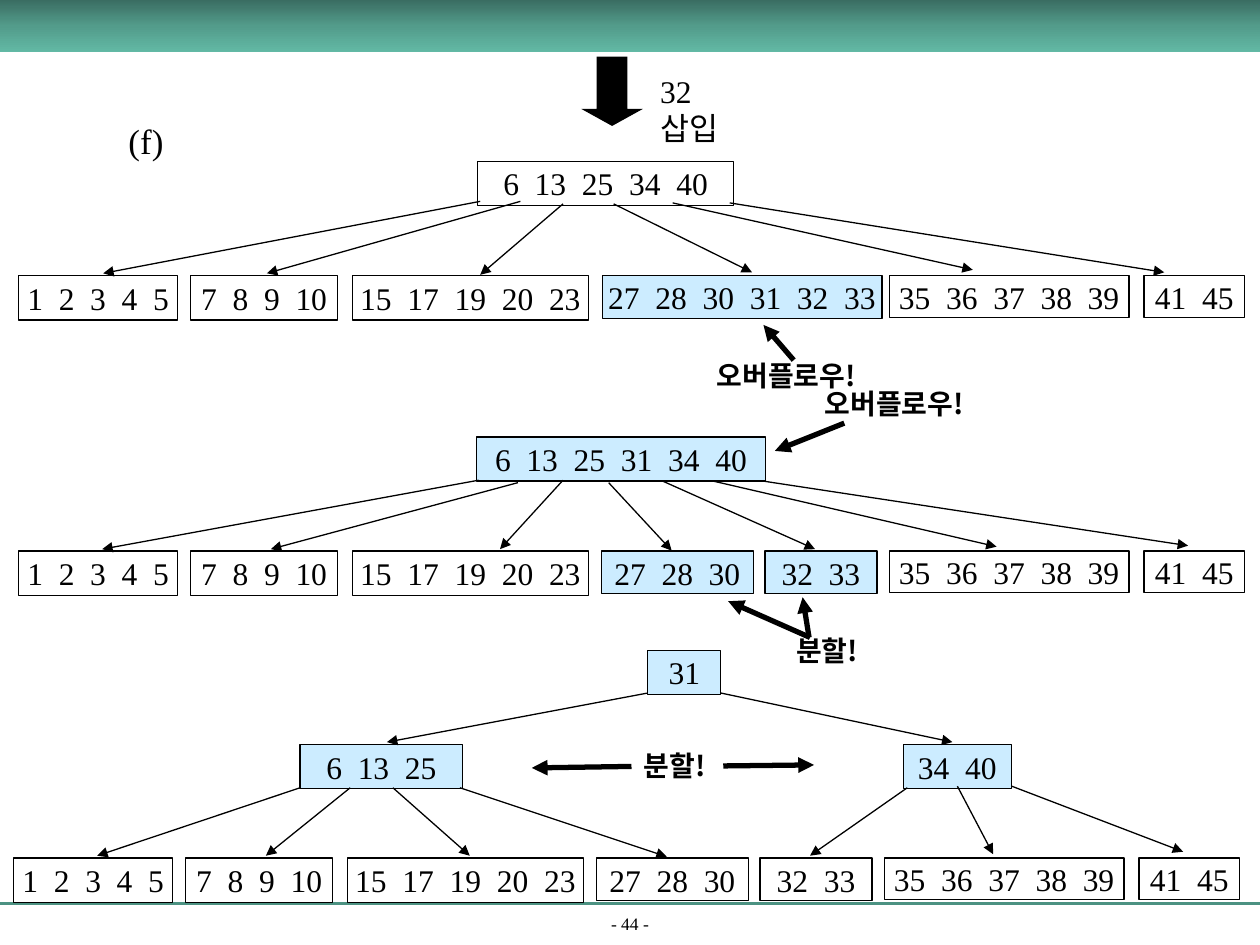
from copy import deepcopy

from pptx import Presentation
from pptx.dml.color import RGBColor
from pptx.enum.shapes import MSO_CONNECTOR, MSO_SHAPE
from pptx.enum.text import MSO_ANCHOR, PP_ALIGN
from pptx.oxml.ns import qn
from pptx.util import Cm, Pt
from lxml.etree import SubElement

COLORS = {
    "black": "000000",
    "changed": "CCECFF",
    "rule": "4C9282",
    "bar_top": "3A6D62",
    "bar_mid": "539C8B",
    "bar_bottom": "62B9A5",
}
SERIF = "Times New Roman"
SANS = "Noto Sans CJK KR"

prs = Presentation()
prs.slide_width, prs.slide_height = Cm(25.4), Cm(19.05)
s = prs.slides.add_slide(prs.slide_layouts[6])


def add_text(text, x, y, w, h, size=18, font=SERIF, bold=False, align=PP_ALIGN.LEFT,
             anchor=MSO_ANCHOR.TOP, wrap=False, boxed=False, fill=None):
    if boxed:
        sp = s.shapes.add_shape(MSO_SHAPE.RECTANGLE, Cm(x), Cm(y), Cm(w), Cm(h))
        sp.shadow.inherit = False
        sp.line.color.rgb = RGBColor.from_string(COLORS["black"])
        sp.line.width = Pt(0.75)
        if fill:
            sp.fill.solid()
            sp.fill.fore_color.rgb = RGBColor.from_string(COLORS[fill])
        else:
            sp.fill.background()
    else:
        sp = s.shapes.add_textbox(Cm(x), Cm(y), Cm(w), Cm(h))
    tf = sp.text_frame
    tf.word_wrap = wrap
    tf.vertical_anchor = anchor
    p = tf.paragraphs[0]
    p.alignment = align
    r = p.add_run()
    r.text = text
    r.font.name = font
    r.font.size = Pt(size)
    r.font.bold = bold
    r.font.color.rgb = RGBColor.from_string(COLORS["black"])
    SubElement(r.font._element, qn("a:ea"), typeface=SANS)


def add_line(x1, y1, x2, y2, width=0.75, color="black", arrow=True):
    c = s.shapes.add_connector(MSO_CONNECTOR.STRAIGHT, Cm(x1), Cm(y1), Cm(x2), Cm(y2))
    c.line.color.rgb = RGBColor.from_string(COLORS[color])
    c.line.width = Pt(width)
    if arrow:
        SubElement(c.line._get_or_add_ln(), qn("a:tailEnd"), type="triangle")
    SubElement(c._element.spPr, qn("a:effectLst"))


add_line(0, 18.21, 25.4, 18.21, width=1.5, color="rule", arrow=False)
add_text("- 44 -", 0, 18.39, 25.4, 0.56, size=10, align=PP_ALIGN.CENTER,
         anchor=MSO_ANCHOR.BOTTOM, wrap=True)

bar = s.shapes.add_shape(MSO_SHAPE.RECTANGLE, 0, 0, Cm(25.4), Cm(1.06))
bar.shadow.inherit = False
bar.line.fill.background()
bar.fill.gradient()
bar.fill.gradient_angle = 270
first = bar.fill.gradient_stops._gsLst[0]
first.addnext(deepcopy(first))
for stop, name, pos in zip(bar.fill.gradient_stops, ("bar_top", "bar_mid", "bar_bottom"), (0, 0.5, 1)):
    stop.color.rgb = RGBColor.from_string(COLORS[name])
    stop.position = pos

down = s.shapes.add_shape(MSO_SHAPE.DOWN_ARROW, Cm(11.72), Cm(1.14), Cm(1.24), Cm(1.4))
down.shadow.inherit = False
down.adjustments[0], down.adjustments[1] = 0.5, 0.276
down.fill.solid()
down.fill.fore_color.rgb = RGBColor.from_string(COLORS["black"])
down.line.fill.background()
add_text("32 삽입", 13.06, 1.32, 2, 1.02, wrap=True)
add_text("(f)", 2.34, 2.29, 1.32, 1.09, size=20, wrap=True)

left_leaves = [("1  2  3  4  5", 0.38, 3.2, 0.89), ("7  8  9  10", 3.84, 2.97, 0.89),
               ("15  17  19  20  23", 7.11, 4.75, 0.89)]
right_leaves = [("35  36  37  38  39", 17.93, 4.83, 0.84), ("41  45", 23.06, 2.03, 0.84)]
full_leaf = [("27  28  30  31  32  33", 12.14, 5.64, 0.86)]
split_leaves = [("27  28  30", 12.12, 3.07, 0.86), ("32  33", 15.42, 2.26, 0.86)]

boxes = []
for y, dx, middle, fill in [(5.56, 0, full_leaf, "changed"),
                            (11.11, 0, split_leaves, "changed"),
                            (17.3, -0.1, split_leaves, None)]:
    for leaf in left_leaves + middle + right_leaves:
        text, x, w, h = leaf
        boxes.append((text, x + dx, y, w, h, fill if leaf in middle else None))
boxes += [
    ("6  13  25  34  40", 9.63, 3.25, 5.16, 0.89, None),
    ("6  13  25  31  34  40", 9.6, 8.81, 5.84, 0.89, "changed"),
    ("31", 13.06, 13.11, 1.47, 0.89, "changed"),
    ("6  13  25", 6.05, 15.01, 3.28, 0.89, "changed"),
    ("34  40", 18.21, 15.01, 2.18, 0.89, "changed"),
]
for text, x, y, w, h, fill in boxes:
    add_text(text, x, y, w, h, boxed=True, fill=fill, align=PP_ALIGN.CENTER,
             anchor=MSO_ANCHOR.MIDDLE)

branches = [
    (9.68, 4.06, 2.08, 5.51), (10.49, 4.06, 5.38, 5.51), (11.35, 4.11, 9.68, 5.54),
    (12.37, 4.11, 15.16, 5.49), (13.56, 4.09, 19.61, 5.44), (14.71, 4.09, 23.47, 5.49),
    (9.65, 9.68, 2.06, 11.07), (10.44, 9.73, 5.46, 11.07), (11.35, 9.68, 10.08, 11.07),
    (12.27, 9.73, 13.54, 11.1), (13.36, 9.7, 16.43, 11.07), (14.38, 9.7, 20.09, 11.02),
    (15.39, 9.7, 23.95, 11),
    (13.06, 13.97, 7.8, 14.96), (14.53, 13.97, 19.2, 14.96),
    (6.05, 15.88, 1.96, 17.25), (7.06, 15.88, 5.36, 17.25), (7.92, 15.88, 9.47, 17.25),
    (9.27, 15.88, 13.44, 17.27),
    (18.29, 15.88, 16.33, 17.25), (19.3, 15.85, 20.02, 17.22), (20.4, 15.85, 23.85, 17.17),
]
for ends in branches:
    add_line(*ends)

pointers = [
    (16, 7.26, 15.39, 6.55), (17.02, 8.53, 15.62, 9.09),
    (16.31, 12.85, 16.18, 12.04), (16.33, 12.85, 14.68, 12.12),
    (12.73, 15.45, 10.72, 15.48), (14.58, 15.44, 16.41, 15.42),
]
for ends in pointers:
    add_line(*ends, width=3)

for text, x, y, w in [("오버플로우!", 14.2, 7.11, 3.51), ("오버플로우!", 16.38, 7.67, 3.51),
                      ("분할!", 15.8, 12.65, 1.8), ("분할!", 12.73, 14.96, 1.8)]:
    add_text(text, x, y, w, 0.94, size=16, font=SANS, bold=True)

prs.save("out.pptx")
